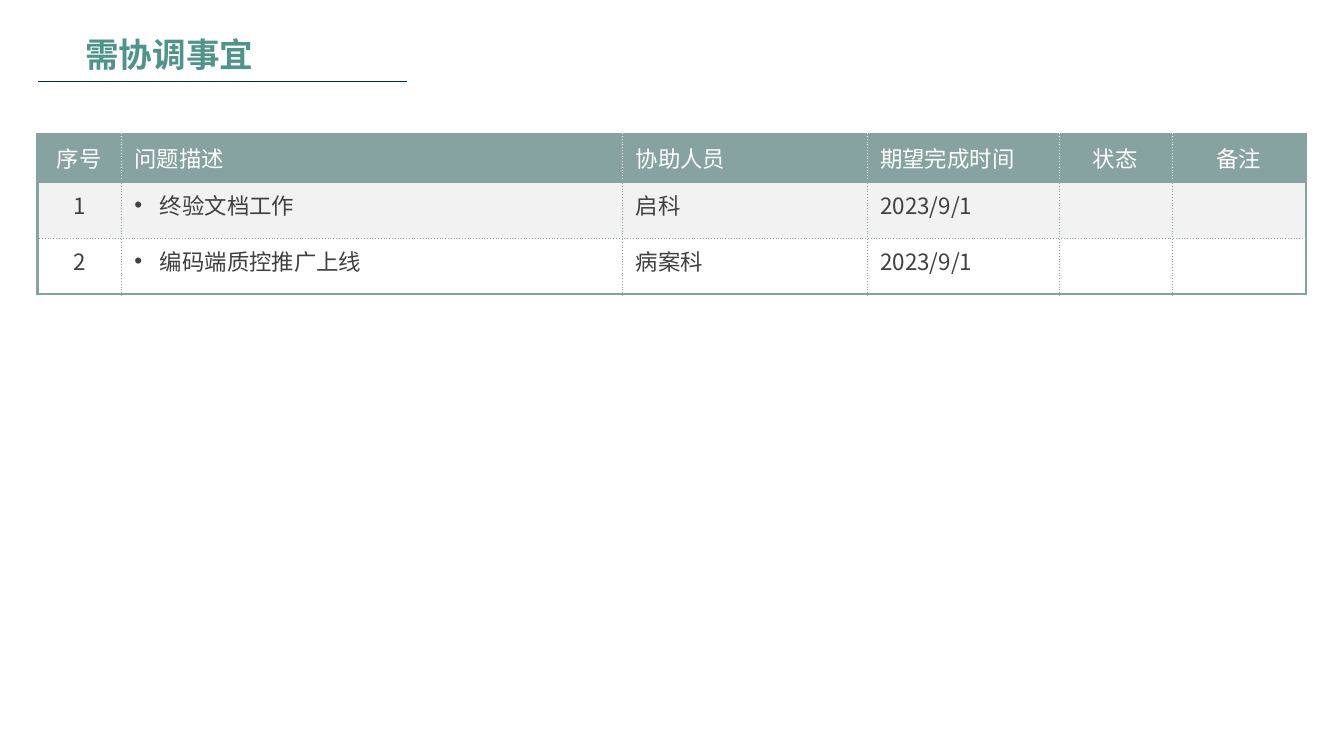
from lxml import etree
from pptx import Presentation
from pptx.dml.color import RGBColor
from pptx.enum.shapes import MSO_CONNECTOR
from pptx.enum.text import MSO_ANCHOR, MSO_AUTO_SIZE, PP_ALIGN
from pptx.oxml.ns import qn
from pptx.util import Inches, Pt

LEFT, CENTER = PP_ALIGN.LEFT, PP_ALIGN.CENTER
TOP, MIDDLE = MSO_ANCHOR.TOP, MSO_ANCHOR.MIDDLE
FONT, HEADER_FONT = "Noto Sans CJK SC", "Arial"
COLORS = {
    "title": "4F948B", "rule": "002C42", "accent": "86A3A1",
    "body": "404040", "band": "F2F2F2", "white": "FFFFFF",
}

# Content
TITLE = "需协调事宜"
COLUMNS = [  # heading, width, alignment
    ("序号", 0.62, CENTER),
    ("问题描述", 3.73, LEFT),
    ("协助人员", 1.82, LEFT),
    ("期望完成时间", 1.43, LEFT),
    ("状态", 0.84, CENTER),
    ("备注", 1.0, CENTER),
]
ISSUES = [
    ("1", "终验文档工作", "启科", "2023/9/1", "", ""),
    ("2", "编码端质控推广上线", "病案科", "2023/9/1", "", ""),
]
BULLET_COLUMN = 1
ROW_HEIGHTS = [0.35] + [0.42] * len(ISSUES)
SLIDE_WIDTH = 10
SLIDE_HEIGHT = SLIDE_WIDTH * 9 / 16
MARGIN, TABLE_TOP = 0.28, 1.0


def rgb(name):
    return RGBColor.from_string(COLORS[name])


def write(frame, text, size=12, color="body", font=FONT, bold=False,
          align=LEFT, bullet=False):
    paragraph = frame.paragraphs[0]
    paragraph.alignment = align
    if not text:
        return
    run = paragraph.add_run()
    run.text = text
    run.font.size, run.font.bold, run.font.name = Pt(size), bold, font
    run.font.color.rgb = rgb(color)
    east_asian = etree.SubElement(run.font._element, qn("a:ea"))
    east_asian.set("typeface", FONT)
    if bullet:
        properties = paragraph._p.get_or_add_pPr()
        properties.set("marL", str(Inches(0.19)))
        properties.set("indent", str(-Inches(0.19)))
        etree.SubElement(properties, qn("a:buFont")).set("typeface", "Arial")
        etree.SubElement(properties, qn("a:buChar")).set("char", "•")


def set_borders(cell, borders):
    """Draw the left, right, top and bottom borders, each (color, dotted)."""
    properties = cell._tc.get_or_add_tcPr()
    for index, (side, (color, dotted)) in enumerate(zip("LRTB", borders)):
        line = etree.Element(qn(f"a:ln{side}"))
        line.set("w", str(Pt(0.25 if dotted else 1.5)))
        fill = etree.SubElement(line, qn("a:solidFill"))
        etree.SubElement(fill, qn("a:srgbClr")).set("val", COLORS[color])
        dash = etree.SubElement(line, qn("a:prstDash"))
        dash.set("val", "dot" if dotted else "solid")
        properties.insert(index, line)


presentation = Presentation()
presentation.slide_width = Inches(SLIDE_WIDTH)
presentation.slide_height = Inches(SLIDE_HEIGHT)
slide = presentation.slides.add_slide(presentation.slide_layouts[5])

# Title
title = slide.shapes.title
title.left, title.top = Inches(MARGIN), Inches(0.2)
title.width, title.height = Inches(2.06), Inches(0.4)
title_frame = title.text_frame
title_frame.auto_size = MSO_AUTO_SIZE.NONE
title_frame.word_wrap = True
title_frame.vertical_anchor = MIDDLE
title_frame.margin_left = 0
write(title_frame, TITLE, size=18, color="title", bold=True, align=CENTER)

# Rule under the title
rule = slide.shapes.add_connector(
    MSO_CONNECTOR.STRAIGHT,
    Inches(MARGIN), Inches(0.61), Inches(MARGIN + 2.75), Inches(0.61))
rule.line.color.rgb = rgb("rule")
rule.line.width = Pt(0.5)
etree.SubElement(rule._element.spPr, qn("a:effectLst"))

# Issue table
headings, widths, alignments = zip(*COLUMNS)
rows = [headings] + ISSUES
table = slide.shapes.add_table(
    len(rows), len(COLUMNS), Inches(MARGIN), Inches(TABLE_TOP),
    Inches(sum(widths)), Inches(sum(ROW_HEIGHTS))).table
table.first_row = table.horz_banding = False
for column, width in zip(table.columns, widths):
    column.width = Inches(width)
for row, height in zip(table.rows, ROW_HEIGHTS):
    row.height = Inches(height)

last_row, last_column = len(rows) - 1, len(COLUMNS) - 1
solid, dotted = ("accent", False), ("accent", True)
for r, values in enumerate(rows):
    is_header = r == 0
    divider = ("white", True) if is_header else dotted
    for c, value in enumerate(values):
        cell = table.cell(r, c)
        cell.vertical_anchor = MIDDLE if is_header else TOP
        cell.fill.solid()
        cell.fill.fore_color.rgb = rgb(
            "accent" if is_header else "band" if r % 2 else "white")
        set_borders(cell, [
            solid if c == 0 else divider,
            solid if c == last_column else divider,
            solid if r <= 1 else dotted,
            solid if r in (0, last_row) else dotted,
        ])
        write(cell.text_frame, value, align=alignments[c],
              color="white" if is_header else "body",
              font=HEADER_FONT if is_header else FONT,
              bullet=not is_header and c == BULLET_COLUMN)

presentation.save("out.pptx")
